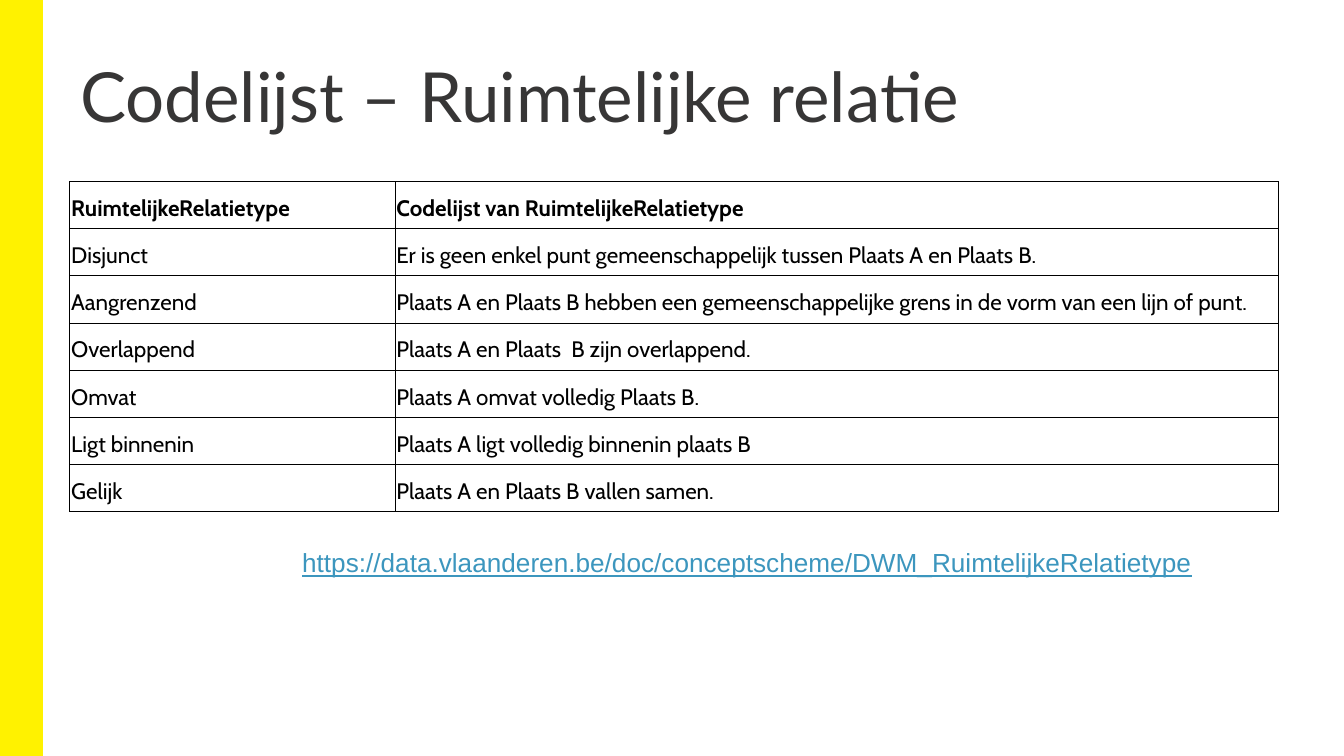
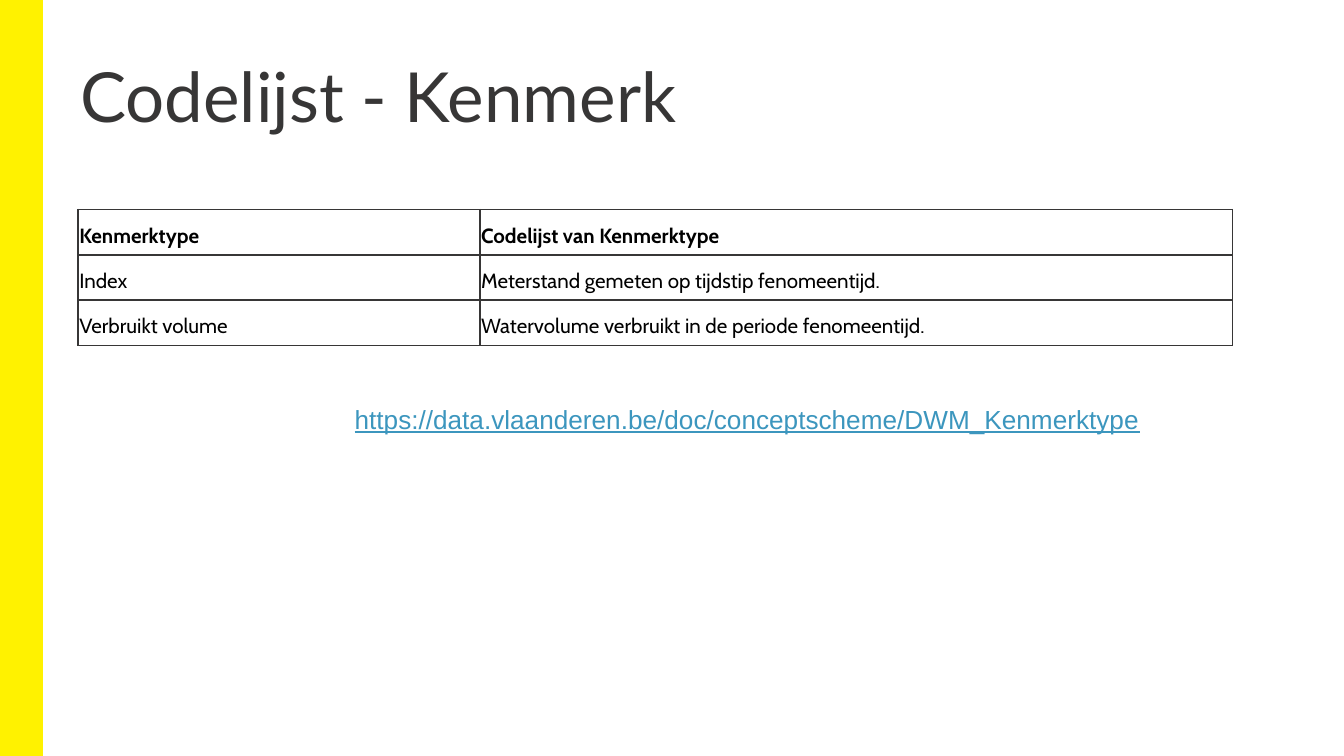
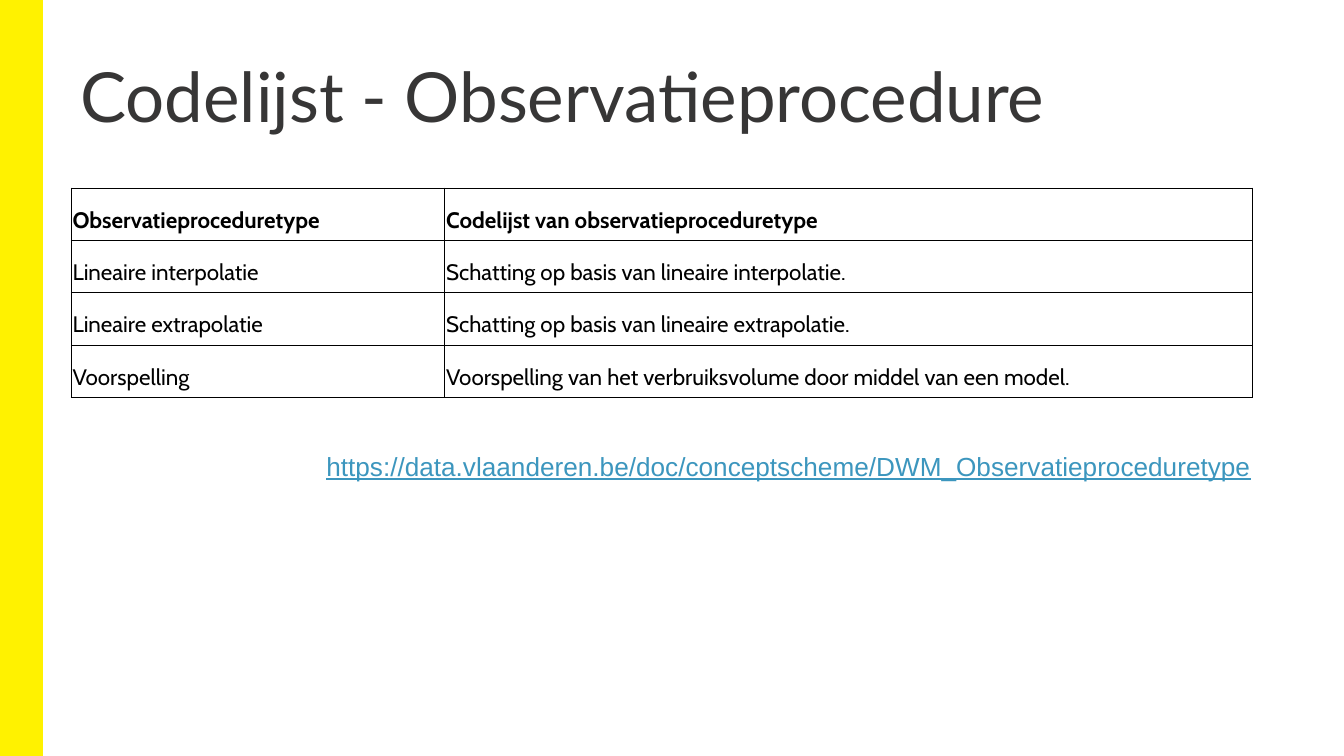
from lxml import etree
from pptx import Presentation
from pptx import util as u
from pptx.dml.color import RGBColor
from pptx.enum import shapes, text
from pptx.oxml import ns

YELLOW = RGBColor(0xFF, 0xF2, 0x00)
CHARCOAL = RGBColor(0x37, 0x36, 0x36)
BLACK = RGBColor(0x00, 0x00, 0x00)
LINK_BLUE = RGBColor(0x3C, 0x96, 0xBE)

SLIDE_WIDTH = 10
SLIDE_HEIGHT = SLIDE_WIDTH * 9 / 16
LINK_BASE = "https://data.vlaanderen.be/doc/conceptscheme/DWM_"

RELATION_ROWS = [
    ("RuimtelijkeRelatietype", "Codelijst van RuimtelijkeRelatietype"),
    ("Disjunct", "Er is geen enkel punt gemeenschappelijk tussen Plaats A en Plaats B."),
    ("Aangrenzend", "Plaats A en Plaats B hebben een gemeenschappelijke grens "
                    "in de vorm van een lijn of punt."),
    ("Overlappend", "Plaats A en Plaats  B zijn overlappend."),
    ("Omvat", "Plaats A omvat volledig Plaats B."),
    ("Ligt binnenin", "Plaats A ligt volledig binnenin plaats B"),
    ("Gelijk", "Plaats A en Plaats B vallen samen."),
]
FEATURE_ROWS = [
    ("Kenmerktype", "Codelijst van Kenmerktype"),
    ("Index", "Meterstand gemeten op tijdstip fenomeentijd."),
    ("Verbruikt volume", "Watervolume verbruikt in de periode fenomeentijd."),
]
PROCEDURE_ROWS = [
    ("Observatieproceduretype", "Codelijst van observatieproceduretype"),
    ("Lineaire interpolatie", "Schatting op basis van lineaire interpolatie."),
    ("Lineaire extrapolatie", "Schatting op basis van lineaire extrapolatie."),
    ("Voorspelling", "Voorspelling van het verbruiksvolume door middel van een model."),
]


def inches(*values):
    return [u.Inches(value) for value in values]


def style_font(font, name, size, color):
    font.name = name
    font.size = u.Pt(size)
    font.color.rgb = color


def add_band(slide):
    band = slide.shapes.add_shape(
        shapes.MSO_SHAPE.RECTANGLE, *inches(0, 0, 0.31, SLIDE_HEIGHT))
    band.shadow.inherit = False
    band.fill.solid()
    band.fill.fore_color.rgb = YELLOW
    band.line.color.rgb = YELLOW
    band.line.width = u.Pt(1)


def add_text(slide, wording, place, name, size, color):
    box = slide.shapes.add_textbox(*inches(*place))
    box.text_frame.word_wrap = True
    para = box.text_frame.paragraphs[0]
    para.text = wording
    style_font(para.runs[0].font, name, size, color)
    return box


def add_title(slide, wording):
    box = add_text(slide, wording, (0.5, 0.28, 8.11, 0.92), "Lato", 37, CHARCOAL)
    frame = box.text_frame
    frame.margin_left = frame.margin_right = u.Inches(0.1)
    frame.margin_top = frame.margin_bottom = u.Inches(0.1)
    frame.paragraphs[0].line_spacing = 1.03


def add_link_text(slide, concept, left, top, width):
    box = add_text(slide, LINK_BASE + concept, (left, top, width, 0.57),
                   "Arial", 14, LINK_BLUE)
    box.text_frame.paragraphs[0].runs[0].font.underline = True


def set_borders(cell, color, points):
    properties = cell._tc.get_or_add_tcPr()
    for side in ("lnL", "lnR", "lnT", "lnB"):
        line = etree.SubElement(properties, ns.qn(f"a:{side}"), w=str(u.Pt(points)))
        fill = etree.SubElement(line, ns.qn("a:solidFill"))
        etree.SubElement(fill, ns.qn("a:srgbClr"), val=str(color))


def fill_cell(cell, wording, size, bold, border):
    cell.margin_left = cell.margin_right = cell.margin_top = u.Inches(0.01)
    cell.margin_bottom = u.Inches(0.05)
    cell.vertical_anchor = text.MSO_ANCHOR.BOTTOM
    set_borders(cell, *border)
    cell.fill.background()
    cell.text_frame.text = wording
    span = cell.text_frame.paragraphs[0].runs[0]
    style_font(span.font, "Cabin", size, BLACK)
    span.font.bold = bold


def add_code_table(slide, rows, left, top, widths, height, size=12,
                   border=(BLACK, 0.5)):
    place = inches(left, top, sum(widths), height)
    table = slide.shapes.add_table(len(rows), len(widths), *place).table
    table.first_row = table.horz_banding = False
    for column, width in zip(table.columns, widths):
        column.width = u.Inches(width)
    for index, wordings in enumerate(rows):
        for cell, wording in zip(table.rows[index].cells, wordings):
            fill_cell(cell, wording, size, index == 0, border)


def add_code_slide(deck, title):
    slide = deck.slides.add_slide(deck.slide_layouts[6])
    add_band(slide)
    add_title(slide, title)
    return slide


def main():
    deck = Presentation()
    deck.slide_width, deck.slide_height = inches(SLIDE_WIDTH, SLIDE_HEIGHT)

    slide = add_code_slide(deck, "Codelijst – Ruimtelijke relatie")
    add_code_table(slide, RELATION_ROWS, 0.52, 1.35, (2.42, 6.57), 2.46)
    add_link_text(slide, "RuimtelijkeRelatietype", 2.15, 4.02, 8.22)

    slide = add_code_slide(deck, "Codelijst - Kenmerk")
    add_code_table(slide, FEATURE_ROWS, 0.58, 1.56, (2.99, 5.6), 1.01,
                   size=11, border=(CHARCOAL, 1))
    add_link_text(slide, "Kenmerktype", 2.54, 2.95, 7.15)

    slide = add_code_slide(deck, "Codelijst - Observatieprocedure")
    add_code_table(slide, PROCEDURE_ROWS, 0.53, 1.4, (2.78, 6.01), 1.56)
    add_link_text(slide, "Observatieproceduretype", 2.33, 3.3, 7.53)

    deck.save("out.pptx")


if __name__ == "__main__":
    main()
